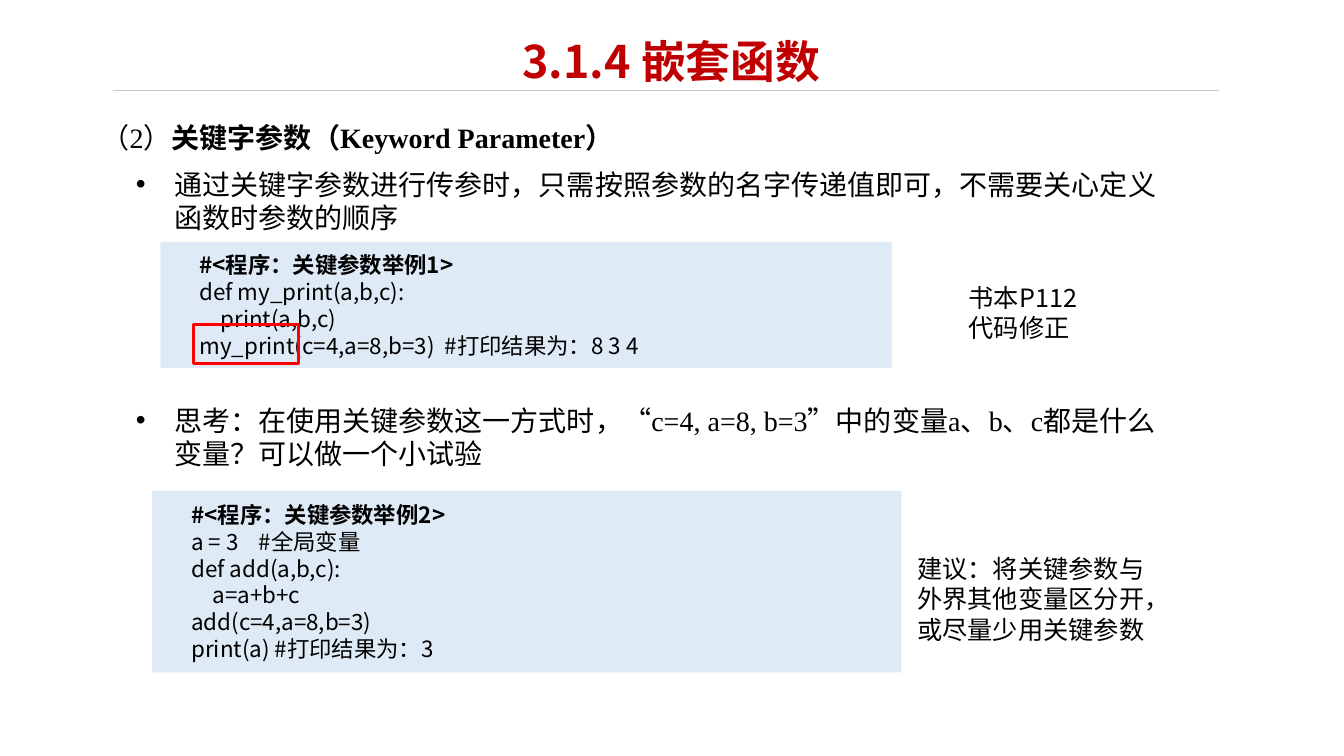
from dataclasses import dataclass

from pptx import Presentation
from pptx import util as u
from pptx.dml.color import RGBColor
from pptx.enum import shapes, text
from pptx.oxml import ns, xmlchemy

PX = 9144


@dataclass(frozen=True)
class Theme:
    """Colours, fonts and type sizes of the slide."""
    ink: str = "000000"
    title: str = "C00000"
    rule: str = "C9C9C9"
    panel: str = "DEEAF6"
    marker: str = "FF0000"
    sans: str = "Noto Sans CJK SC"
    serif: str = "Times New Roman"
    title_size: int = 32
    body_size: int = 20
    note_size: int = 18
    code_size: int = 16


THEME = Theme()


def px(*lengths):
    """Turn px lengths into EMU."""
    return [u.Emu(length * PX) for length in lengths]


def add_element(parent, tag, **attributes):
    """Append a DrawingML element to a parent."""
    child = xmlchemy.OxmlElement(tag)
    for name, value in attributes.items():
        child.set(name, value)
    parent.append(child)


def style(span, size, font=THEME.sans, color=THEME.ink, bold=False):
    """Format one run, with the sans font for Chinese characters."""
    span.font.size = u.Pt(size)
    span.font.bold = bold
    span.font.color.rgb = RGBColor.from_string(color)
    span.font.name = font
    properties = span.font._element if hasattr(span.font, "_element") else span._r.get_or_add_rPr()
    add_element(properties, "a:ea", typeface=THEME.sans)


def add_text(page, area, content, size, **look):
    """Add a wrapping text box and return it."""
    box = page.shapes.add_textbox(*px(*area))
    frame = box.text_frame
    frame.word_wrap = True
    frame.text = content
    for para in frame.paragraphs:
        for span in para.runs:
            style(span, size, **look)
    return box


def add_title(page, area, content):
    """Add the centred slide title."""
    box = add_text(page, area, content, THEME.title_size, color=THEME.title, bold=True)
    box.text_frame.vertical_anchor = text.MSO_ANCHOR.MIDDLE
    para = box.text_frame.paragraphs[0]
    para.alignment = text.PP_ALIGN.CENTER
    para.line_spacing = 0.9


def add_heading(page, area, number, content):
    """Add a section heading with a plain number and bold words."""
    box = add_text(page, area, number, THEME.body_size, font=THEME.serif)
    span = box.text_frame.paragraphs[0].add_run()
    span.text = content
    style(span, THEME.body_size, font=THEME.serif, bold=True)


def add_bullet(page, area, content, font):
    """Add one bulleted paragraph with a hanging indent."""
    box = add_text(page, area, content, THEME.body_size, font=font)
    properties = box.text_frame.paragraphs[0]._p.get_or_add_pPr()
    indent = 38 * PX
    properties.set("marL", str(indent))
    properties.set("indent", str(-indent))
    add_element(properties, "a:buFont", typeface="Arial")
    add_element(properties, "a:buChar", char="•")


def add_rectangle(page, area):
    """Add a rectangle without shadow, fill or line."""
    box = page.shapes.add_shape(shapes.MSO_SHAPE.RECTANGLE, *px(*area))
    box.shadow.inherit = False
    box.fill.background()
    box.line.fill.background()
    return box


def add_code(page, area, lines):
    """Add a code panel whose first line is bold."""
    box = add_rectangle(page, area)
    box.fill.solid()
    box.fill.fore_color.rgb = RGBColor.from_string(THEME.panel)
    frame = box.text_frame
    frame.word_wrap = True
    frame.vertical_anchor = text.MSO_ANCHOR.MIDDLE
    frame.text = "\n".join(lines)
    for index, para in enumerate(frame.paragraphs):
        para.alignment = text.PP_ALIGN.JUSTIFY
        para._p.get_or_add_pPr().set("indent", str(29 * PX))
        for span in para.runs:
            style(span, THEME.code_size, bold=index == 0)


def add_marker(page, area):
    """Add an outlined frame around a piece of code."""
    box = add_rectangle(page, area)
    box.line.color.rgb = RGBColor.from_string(THEME.marker)
    box.line.width = u.Pt(2.25)


def add_rule(page, left, right, top):
    """Add the horizontal line under the title."""
    line = page.shapes.add_connector(shapes.MSO_CONNECTOR.STRAIGHT, *px(left, top, right, top))
    line.line.color.rgb = RGBColor.from_string(THEME.rule)
    line.line.width = u.Pt(1)
    add_element(line._element.spPr, "a:effectLst")


def main():
    """Build the slide and save the deck."""
    deck = Presentation()
    deck.slide_width, deck.slide_height = px(1333, 750)
    page = deck.slides.add_slide(deck.slide_layouts[6])

    add_rule(page, 112, 1209, 90)
    add_title(page, (235, 28, 862, 71), "3.1.4 嵌套函数")
    add_heading(page, (91, 115, 861, 44), "（2）", "关键字参数（Keyword Parameter）")
    add_bullet(page, (125, 161, 1055, 77),
               "通过关键字参数进行传参时，只需按照参数的名字传递值即可，不需要关心定义函数时参数的顺序",
               THEME.sans)
    add_bullet(page, (125, 395, 1055, 77),
               "思考：在使用关键参数这一方式时，“c=4, a=8, b=3”中的变量a、b、c都是什么变量？可以做一个小试验",
               THEME.serif)
    add_code(page, (159, 240, 726, 125), [
        "#<程序：关键参数举例1>",
        "def my_print(a,b,c):",
        "\tprint(a,b,c)",
        "my_print(c=4,a=8,b=3)  #打印结果为：8 3 4",
    ])
    add_code(page, (151, 487, 743, 180), [
        "#<程序：关键参数举例2>",
        "a = 3    #全局变量",
        "def add(a,b,c):",
        "\ta=a+b+c",
        "add(c=4,a=8,b=3)",
        "print(a) #打印结果为：3",
    ])
    add_marker(page, (192, 322, 104, 39))
    add_text(page, (951, 275, 169, 71), "书本P112\n代码修正", THEME.note_size)
    add_text(page, (900, 544, 249, 101),
             "建议：将关键参数与外界其他变量区分开，或尽量少用关键参数", THEME.note_size)
    deck.save("out.pptx")


if __name__ == "__main__":
    main()
